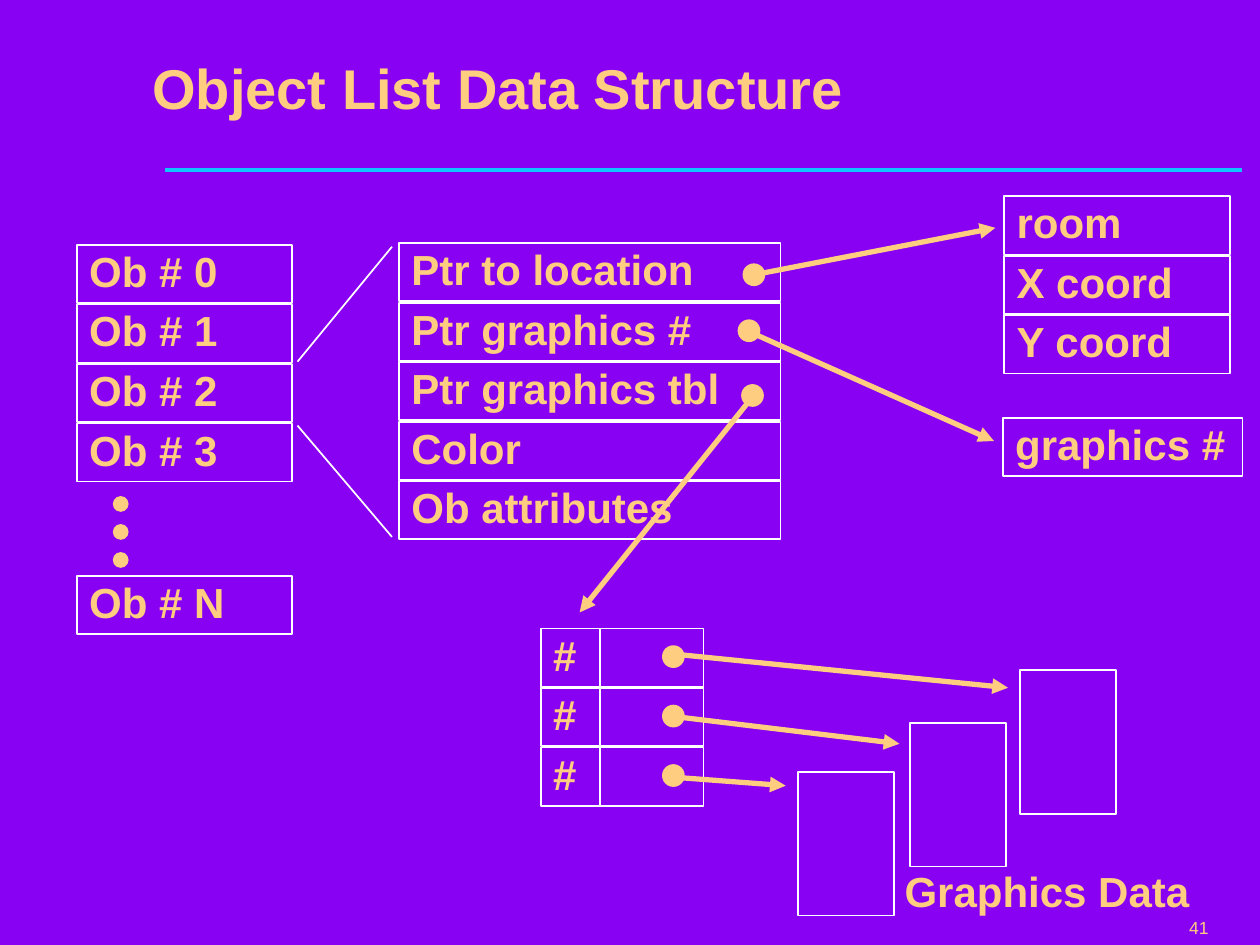
from pptx import Presentation, util as u
from pptx.dml.color import RGBColor
from pptx.enum import shapes, text
from pptx.oxml.ns import qn
from lxml import etree

Pt = u.Pt
COLORS = {"bg": "8901F3", "rule": "0FC7FF", "text": "FFCD7F", "box": "FFFFFF"}
RGB = {name: RGBColor.from_string(value) for name, value in COLORS.items()}
ROW_H, PITCH = 33.2, 34
TEXT_FORMAT = {"name": "Arial", "bold": True, "size": Pt(24)}
FRAME_FORMAT = {"word_wrap": True, "vertical_anchor": text.MSO_ANCHOR.TOP}

prs = Presentation()
prs.slide_width, prs.slide_height = Pt(720), Pt(540)
s = prs.slides.add_slide(prs.slide_layouts[6])
s.background.fill.solid()
s.background.fill.fore_color.rgb = RGB["bg"]


def add_item(kind, x, y, w, h, words="", frame=None, font=None):
    """Add a text box ("label"), an outlined box ("box") or a filled dot ("dot")."""
    area = [Pt(v) for v in (x, y, w, h)]
    if kind == "label":
        sp = s.shapes.add_textbox(*area)
    else:
        preset = shapes.MSO_SHAPE.OVAL if kind == "dot" else shapes.MSO_SHAPE.RECTANGLE
        sp = s.shapes.add_shape(preset, *area)
        sp.shadow.inherit = False
        sp.line.width = Pt(1)
        sp.line.color.rgb = RGB["text" if kind == "dot" else "box"]
        if kind == "dot":
            sp.fill.solid()
            sp.fill.fore_color.rgb = RGB["text"]
        else:
            sp.fill.background()
    if words:
        tf = sp.text_frame
        for key, value in {**FRAME_FORMAT, **(frame or {})}.items():
            setattr(tf, key, value)
        p = tf.paragraphs[0]
        p.alignment = text.PP_ALIGN.LEFT
        p.line_spacing = 0.9
        r = p.add_run()
        r.text = words
        for key, value in {**TEXT_FORMAT, **(font or {})}.items():
            setattr(r.font, key, value)
        r.font.color.rgb = RGB["text"]


def add_line(x1, y1, x2, y2, color="box", width=1, arrow=False):
    cxn = s.shapes.add_connector(shapes.MSO_CONNECTOR.STRAIGHT, *[Pt(v) for v in (x1, y1, x2, y2)])
    cxn.line.color.rgb = RGB[color]
    cxn.line.width = Pt(width)
    if arrow:
        etree.SubElement(cxn.line._get_or_add_ln(), qn("a:tailEnd"), type="triangle")
    etree.SubElement(cxn._element.spPr, qn("a:effectLst"))


# Title, rule and page number
add_line(94.3, 97, 710, 97, "rule", 2.25)
add_item("label", 672.5, 522, 47, 18, "41", font={"size": Pt(10), "bold": False})
add_item("label", 80, 21, 640, 62.6, "Object List Data Structure",
         {"vertical_anchor": text.MSO_ANCHOR.MIDDLE}, {"size": Pt(32)})

# Stacks of boxes: left, top, width, rows
stacks = [
    (43.9, 140, 123, ["Ob # 0", "Ob # 1", "Ob # 2", "Ob # 3"]),
    (43.9, 329, 123, ["Ob # N"]),
    (228, 139, 218, ["Ptr to location", "Ptr graphics #", "Ptr graphics tbl",
                     "Color", "Ob attributes"]),
    (573.8, 112.2, 129, ["room", "X coord", "Y coord"]),
    (573, 239, 137, ["graphics #"]),
    (309, 359.2, 93, ["#", "#", "#"]),
]
for x, y, w, rows in stacks:
    for i, words in enumerate(rows):
        add_item("box", x, y + i * PITCH, w, ROW_H, words)
add_line(342.9, 359.2, 342.9, 460.6)

# Ellipsis between Ob # 3 and Ob # N
for i in range(3):
    add_item("dot", 65, 284 + 16 * i, 8, 8)

# Lines that expand Ob # 2 into its record
add_line(170, 206.7, 224, 141)
add_line(170, 243.2, 224, 306.8)

# Graphics data blocks
for x, y in [(456, 441.2), (583, 383), (520, 413.2)]:
    add_item("box", x, y, 54.9, 82)
add_item("label", 509.8, 494, 187, ROW_H, "Graphics Data")

# Pointers: dot corner, then arrow start and end
pointers = [
    ((424.8, 151), (431, 157, 568.8, 130.2)),
    ((422, 183), (427.8, 189.4, 568, 252)),
    ((424, 220), (430, 226.8, 331.2, 350)),
    ((378.8, 369.2), (385.2, 373.8, 576, 393)),
    ((378.8, 403.2), (387.4, 409.7, 514, 425)),
    ((378.8, 437.2), (386, 444.2, 449, 449)),
]
for (x, y), ends in pointers:
    add_item("dot", x, y, 12, 12)
    add_line(*ends, "text", 3, True)

prs.save("out.pptx")
